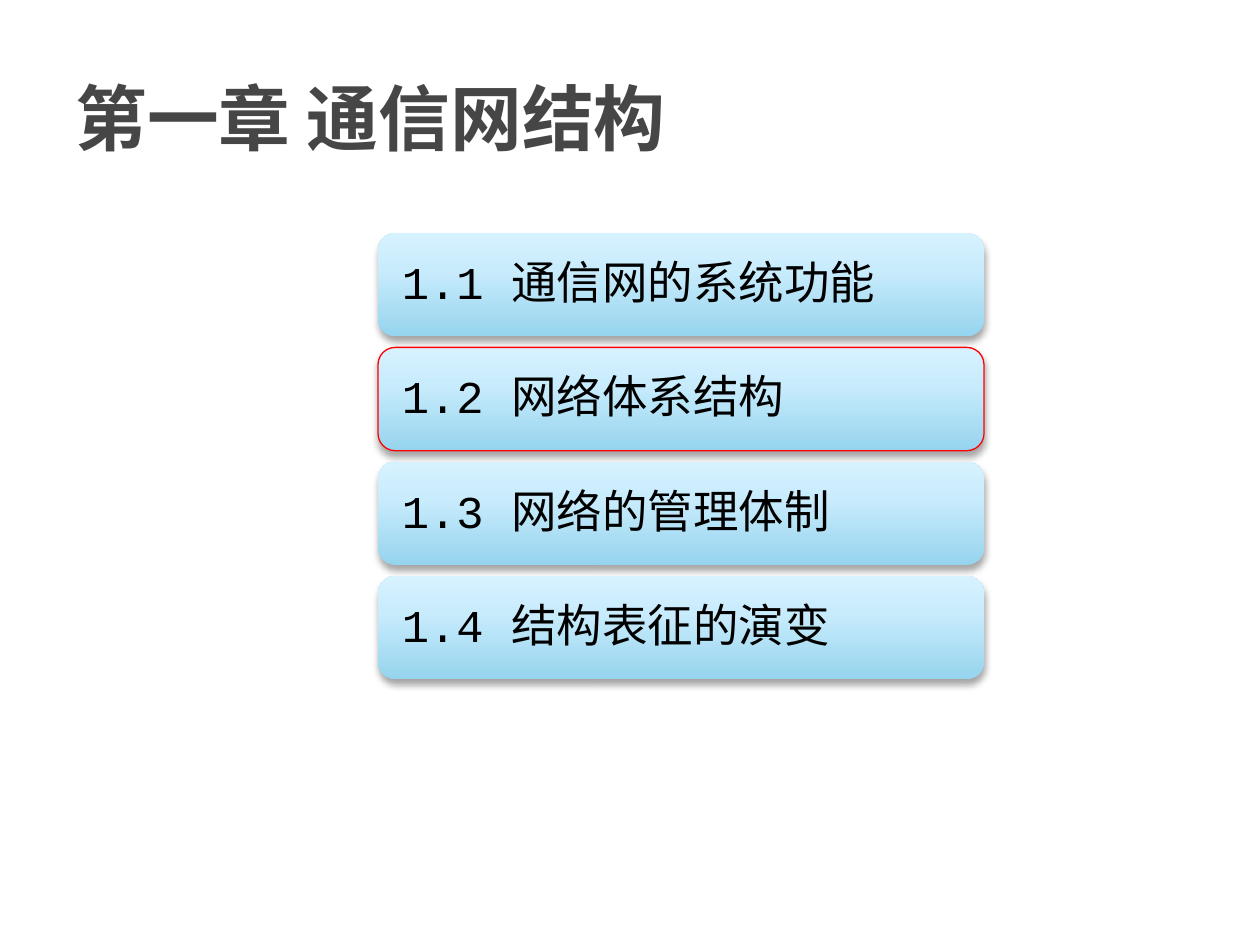
"""Build the chapter contents slide with four stacked section cards."""
import pptx
import pptx.dml.color
import pptx.enum.shapes
import pptx.enum.text
import pptx.oxml
import pptx.oxml.ns
import pptx.util

Inches = pptx.util.Inches
Pt = pptx.util.Pt

TITLE = "第一章 通信网结构"
SECTIONS = [
    ("1.1 通信网的系统功能", False),
    ("1.2 网络体系结构", True),
    ("1.3 网络的管理体制", False),
    ("1.4 结构表征的演变", False),
]
THEME = {
    "font": "Courier New",
    "title_size": 41,
    "section_size": 26,
    "title_color": "464646",
    "section_color": "000000",
    "highlight": "FF0000",
    "gradient": [(0, "96D4EE"), (65, "C9ECFC"), (100, "D7F2FF")],
    "shadow": "000000",
}
CARD_LEFT, CARD_TOP, CARD_WIDTH, CARD_HEIGHT = 3, 1.85, 4.81, 0.82
CARD_PITCH = 0.907
CARD_INSET = 0.15


def color(name):
    return pptx.dml.color.RGBColor.from_string(THEME[name])


def element(tag, content, attributes=""):
    namespace = pptx.oxml.ns.nsdecls("a")
    return pptx.oxml.parse_xml(f"<a:{tag} {namespace} {attributes}>{content}</a:{tag}>")


def write_text(shape, text, role, bold=False):
    frame = shape.text_frame
    frame.word_wrap = True
    frame.vertical_anchor = pptx.enum.text.MSO_ANCHOR.MIDDLE
    paragraph = frame.paragraphs[0]
    paragraph.alignment = pptx.enum.text.PP_ALIGN.LEFT
    run = paragraph.add_run()
    run.text = text
    run.font.name = THEME["font"]
    run.font.size = Pt(THEME[f"{role}_size"])
    run.font.bold = bold
    run.font.color.rgb = color(f"{role}_color")
    return frame


def apply_gradient(shape):
    shape.fill.gradient()
    shape.fill.gradient_angle = 90
    stops = shape._element.spPr.find(".//" + pptx.oxml.ns.qn("a:gsLst"))
    for stop in list(stops):
        stops.remove(stop)
    for position, value in THEME["gradient"]:
        stops.append(element("gs", f'<a:srgbClr val="{value}"/>', f'pos="{position * 1000}"'))
    linear = shape._element.spPr.find(".//" + pptx.oxml.ns.qn("a:lin"))
    linear.set("ang", str(270 * 60000))


def apply_shadow(shape):
    shape.shadow.inherit = False
    effects = shape._element.spPr.find(pptx.oxml.ns.qn("a:effectLst"))
    effects.append(element(
        "outerShdw",
        f'<a:srgbClr val="{THEME["shadow"]}"><a:alpha val="35000"/></a:srgbClr>',
        f'blurRad="{Pt(4)}" dist="{Pt(3)}" dir="{90 * 60000}" rotWithShape="0"',
    ))


def add_card(slide, index, text, highlighted):
    card = slide.shapes.add_shape(
        pptx.enum.shapes.MSO_SHAPE.ROUNDED_RECTANGLE,
        Inches(CARD_LEFT), Inches(CARD_TOP + index * CARD_PITCH),
        Inches(CARD_WIDTH), Inches(CARD_HEIGHT),
    )
    apply_gradient(card)
    if highlighted:
        card.line.color.rgb = color("highlight")
        card.line.width = Pt(0.75)
    else:
        card.line.fill.background()
    apply_shadow(card)
    frame = write_text(card, text, "section")
    frame.margin_left = frame.margin_right = Inches(CARD_INSET)
    frame.margin_top = frame.margin_bottom = Inches(CARD_INSET)
    frame.paragraphs[0].line_spacing = 0.9
    frame.paragraphs[0].space_after = Pt(9)


def main():
    presentation = pptx.Presentation()
    presentation.slide_width = Inches(10)
    presentation.slide_height = Inches(7.5)
    slide = presentation.slides.add_slide(presentation.slide_layouts[6])
    for index, (text, highlighted) in enumerate(SECTIONS):
        add_card(slide, index, text, highlighted)
    title = slide.shapes.add_textbox(Inches(0.5), Inches(0.3), Inches(9), Inches(1.25))
    write_text(title, TITLE, "title", bold=True)
    presentation.save("out.pptx")


if __name__ == "__main__":
    main()
